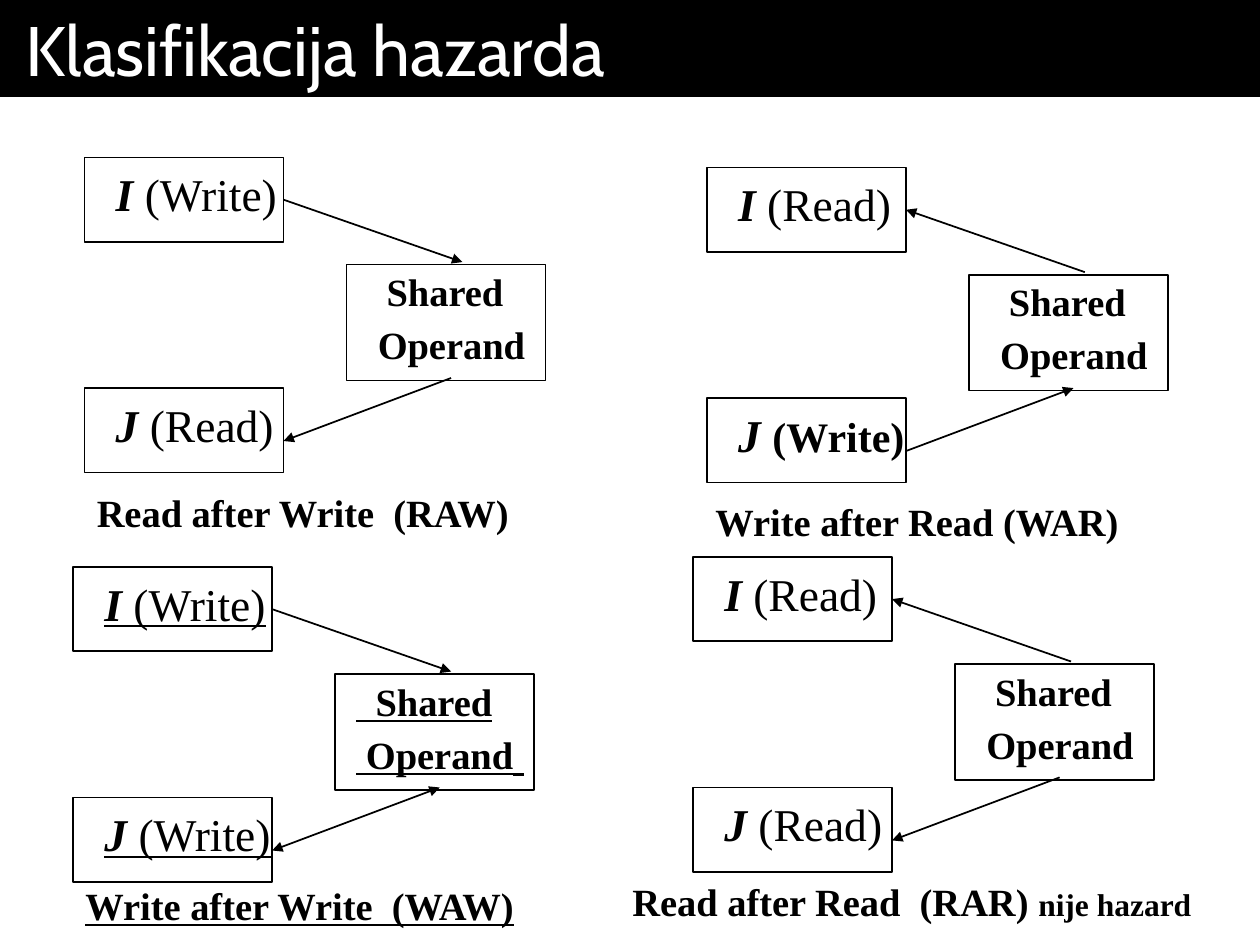
from collections import namedtuple

from lxml import etree
from pptx import Presentation
from pptx.dml.color import RGBColor
from pptx.enum.shapes import MSO_CONNECTOR, MSO_SHAPE
from pptx.enum.text import MSO_ANCHOR, MSO_AUTO_SIZE, PP_ALIGN
from pptx.oxml.ns import qn
from pptx.util import Inches, Pt

RECTANGLE = MSO_SHAPE.RECTANGLE
STRAIGHT = MSO_CONNECTOR.STRAIGHT
GROW = MSO_AUTO_SIZE.SHAPE_TO_FIT_TEXT
FIXED = MSO_AUTO_SIZE.NONE
TOP = MSO_ANCHOR.TOP
LEFT = PP_ALIGN.LEFT
RIGHT_SIDE = 3
COLOURS = {"ink": "000000", "paper": "FFFFFF"}
TITLE_FONT = "Cabin"
BODY_FONT = "Times New Roman"
BOX_WIDTH = 1.58
OPERAND_LINES = [("  ", "Shared", 0.15), (" ", "Operand", 0.08)]

Instruction = namedtuple("Instruction", "name action width size bold", defaults=(26, False))
Caption = namedtuple("Caption", "text left top width note", defaults=("",))
Hazard = namedtuple("Hazard", "left top first second upper lower caption underline",
                    defaults=(False,))

HAZARDS = [
    Hazard(0.67, 1.25, Instruction("I", "(Write)", 1.51), Instruction("J", "(Read)", 1.47),
           ["tailEnd"], ["tailEnd"],
           Caption("Read after Write  (RAW)", 0.67, 3.83, 3.53)),
    Hazard(5.61, 1.33, Instruction("I", "(Read)", 1.43),
           Instruction("J", "(Write)", 1.55, 24, True),
           ["headEnd"], ["headEnd"],
           Caption("Write after Read (WAR)", 5.58, 3.9, 3.45)),
    Hazard(0.58, 4.5, Instruction("I", "(Write)", 1.51), Instruction("J", "(Write)", 1.55),
           ["tailEnd"], ["headEnd", "tailEnd"],
           Caption("Write after Write  (WAW)", 0.58, 6.95, 3.7), True),
    Hazard(5.5, 4.42, Instruction("I", "(Read)", 1.43), Instruction("J", "(Read)", 1.47),
           ["headEnd"], ["tailEnd"],
           Caption("Read after Read  (RAR) ", 4.92, 6.92, 4.65, "nije hazard")),
]


def colour(name):
    return RGBColor.from_string(COLOURS[name])


def set_font(font, size, face=BODY_FONT, ink="ink", bold=None, underline=None):
    font.name = face
    font.size = Pt(size)
    font.color.rgb = colour(ink)
    font.bold = bold
    font.underline = underline


def add_run(para, text, size=None, bold=None, italic=None):
    span = para.add_run()
    span.text = text
    if size:
        span.font.size = Pt(size)
    span.font.bold = bold
    span.font.italic = italic


def add_title(page, text):
    title = page.shapes.title
    title.left, title.top = Inches(0), Inches(0)
    title.width, title.height = Inches(10), Inches(0.77)
    title.fill.solid()
    title.fill.fore_color.rgb = colour("ink")
    frame = title.text_frame
    frame.text = text
    frame.auto_size = FIXED
    frame.vertical_anchor = TOP
    frame.margin_left = frame.margin_right = Inches(0.2)
    para = frame.paragraphs[0]
    para.alignment = LEFT
    set_font(para.font, 40, TITLE_FONT, "paper")


def add_frame(page, left, top, height):
    box = page.shapes.add_shape(RECTANGLE, Inches(left), Inches(top),
                                Inches(BOX_WIDTH), Inches(height))
    box.shadow.inherit = False
    box.fill.background()
    box.line.color.rgb = colour("ink")
    box.line.width = Pt(1)
    return box


def add_label(page, left, top, width, height):
    box = page.shapes.add_textbox(Inches(left), Inches(top), Inches(width), Inches(height))
    frame = box.text_frame
    frame.word_wrap = False
    frame.auto_size = GROW
    return frame


def add_instruction(page, left, top, instruction, underline):
    box = add_frame(page, left, top, 0.67)
    frame = add_label(page, left + 0.15, top + 0.02, instruction.width, 0.53)
    para = frame.paragraphs[0]
    set_font(para.font, 26, underline=underline)
    add_run(para, instruction.name, bold=True, italic=True)
    add_run(para, " ")
    add_run(para, instruction.action, instruction.size, instruction.bold)
    return box


def add_operand(page, left, top, underline):
    add_frame(page, left, top, 0.92)
    frame = add_label(page, left + 0.07, top - 0.02, 1.54, 0.9)
    for index, (lead, word, indent) in enumerate(OPERAND_LINES):
        para = frame.add_paragraph() if index else frame.paragraphs[0]
        if not underline:
            para._p.get_or_add_pPr().set("marL", str(Inches(indent)))
        set_font(para.font, 22, bold=True, underline=underline)
        add_run(para, lead + word if underline else word)
    add_run(para, " ", 26, False)


def add_arrow(page, start, end, heads, source=None):
    arrow = page.shapes.add_connector(STRAIGHT, *(Inches(value) for value in start + end))
    if source:
        arrow.begin_connect(source, RIGHT_SIDE)
    arrow.line.color.rgb = colour("ink")
    arrow.line.width = Pt(1)
    outline = arrow.line._get_or_add_ln()
    for head in heads:
        etree.SubElement(outline, qn(f"a:{head}"), type="triangle")
    etree.SubElement(arrow._element.spPr, qn("a:effectLst"))


def add_caption(page, caption, underline):
    para = add_label(page, caption.left, caption.top, caption.width, 0.47).paragraphs[0]
    set_font(para.font, 22, bold=True, underline=underline)
    add_run(para, caption.text)
    if caption.note:
        add_run(para, caption.note, 18)


def add_hazard(page, hazard):
    left, top, underline = hazard.left, hazard.top, hazard.underline or None
    first = add_instruction(page, left, top, hazard.first, underline)
    add_operand(page, left + 2.08, top + 0.85, underline)
    add_instruction(page, left, top + 1.83, hazard.second, underline)
    side = left + BOX_WIDTH
    add_arrow(page, (side, top + 0.33), (left + 3, top + 0.83), hazard.upper, first)
    add_arrow(page, (left + 2.91, top + 1.75), (side, top + 2.25), hazard.lower)
    add_caption(page, hazard.caption, underline)


def main():
    deck = Presentation()
    deck.slide_width, deck.slide_height = Inches(10), Inches(7.5)
    page = deck.slides.add_slide(deck.slide_layouts[5])
    add_title(page, "Klasifikacija hazarda")
    for hazard in HAZARDS:
        add_hazard(page, hazard)
    deck.save("out.pptx")


if __name__ == "__main__":
    main()
